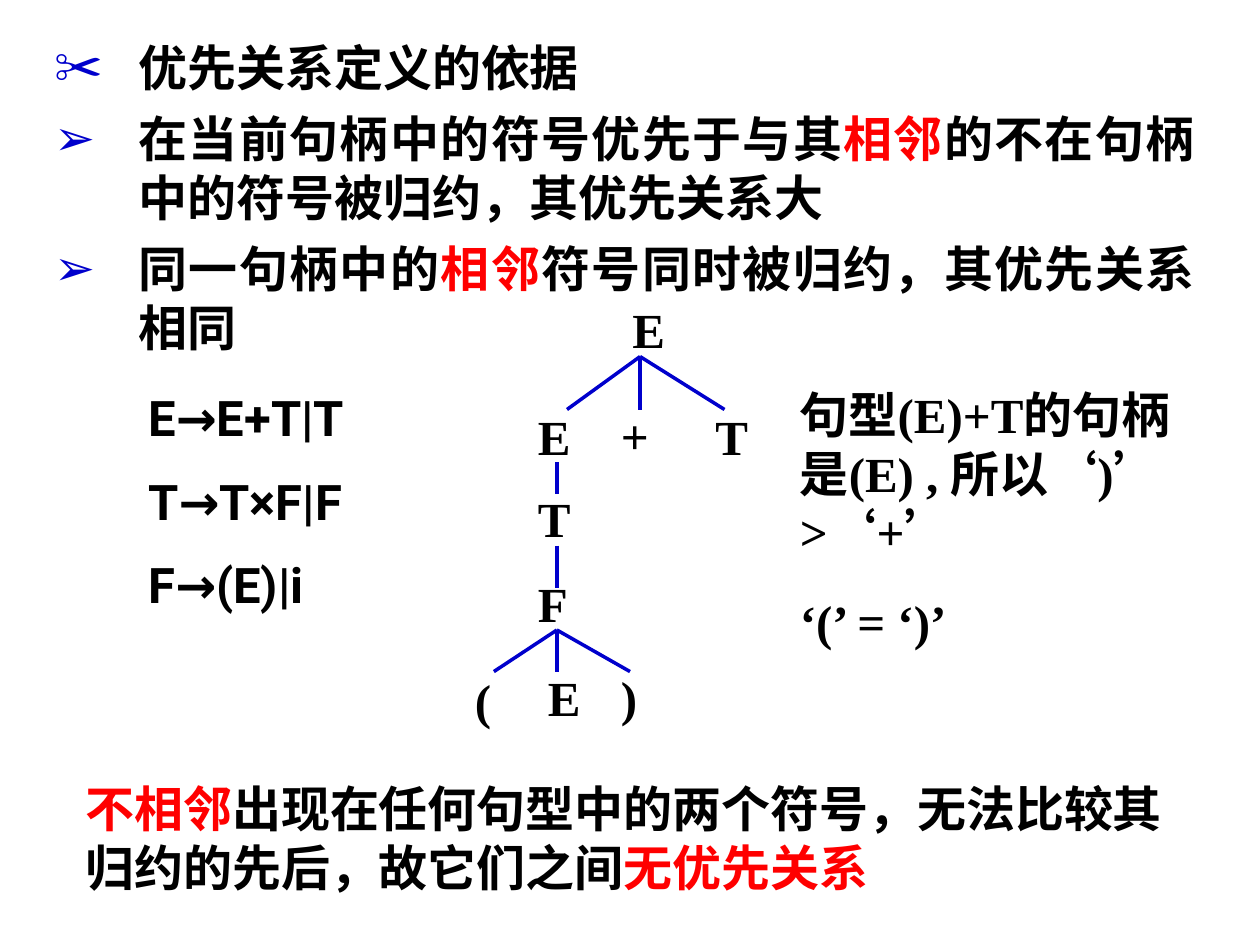
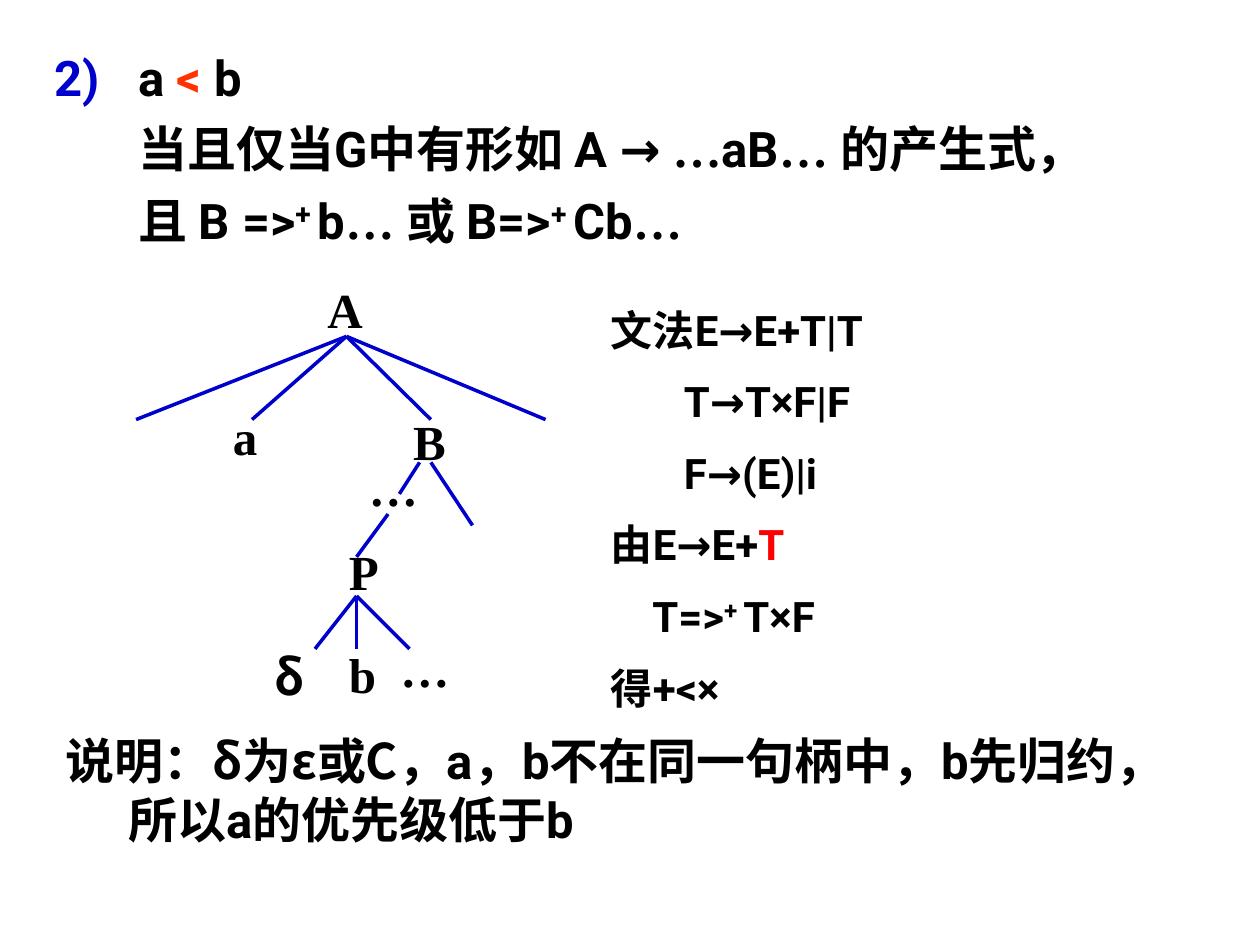
from lxml import etree
from pptx import Presentation
from pptx import util as u
from pptx.dml.color import RGBColor
from pptx.enum import lang, shapes, text
from pptx.oxml.ns import qn

BLACK, BLUE, RED, ORANGE = "000000", "0000CC", "FF0000", "FF3300"
SERIF, SANS, CJK = "Times New Roman", "Roboto", "Noto Sans CJK SC"


def colour(value):
    return RGBColor.from_string(value)


def run(content, ink=BLACK, font=None, raised=False):
    return content, ink, font, raised


def line(*runs, **options):
    return [run(item) if isinstance(item, str) else item for item in runs], options


class Deck:
    def __init__(self):
        self.presentation = Presentation()
        self.presentation.slide_width = u.Inches(10)
        self.presentation.slide_height = u.Inches(7.5)
        self.slide = None

    def new_slide(self):
        layout = self.presentation.slide_layouts[1]
        self.slide = self.presentation.slides.add_slide(layout)
        title = self.slide.shapes.title
        title.element.getparent().remove(title.element)

    def body(self, box, lines, font):
        shape = self.slide.placeholders[1]
        shape.left, shape.top, shape.width, shape.height = map(u.Inches, box)
        shape.text_frame.auto_size = text.MSO_AUTO_SIZE.NONE
        self.fill_text(shape.text_frame, lines, font, 28, 7)

    def text_box(self, box, lines, font=SERIF, size=28, gap=17.5, spacing=None):
        shape = self.slide.shapes.add_textbox(*map(u.Inches, box))
        shape.text_frame.auto_size = text.MSO_AUTO_SIZE.SHAPE_TO_FIT_TEXT
        self.fill_text(shape.text_frame, lines, font, size, gap, spacing)

    def label(self, content, left, top, width=0.5, font=SERIF):
        self.text_box((left, top, width, 0.57), [line(content)], font)

    def branches(self, start, *ends):
        for end in ends:
            connector = self.slide.shapes.add_connector(
                shapes.MSO_CONNECTOR.STRAIGHT, *map(u.Inches, start + end))
            connector.line.color.rgb = colour(BLUE)
            connector.line.width = u.Pt(2)
            etree.SubElement(connector.element.spPr, qn("a:effectLst"))

    def fill_text(self, frame, lines, font, size, gap, spacing=None):
        frame.word_wrap = True
        for index, (runs, options) in enumerate(lines):
            paragraph = frame.paragraphs[0] if index == 0 else frame.add_paragraph()
            self.format_paragraph(paragraph, **options)
            paragraph.space_before = u.Pt(gap if index else 0)
            paragraph.line_spacing = spacing
            for content, ink, own_font, raised in runs:
                self.add_run(paragraph, content, ink, own_font or font, size, raised)

    def format_paragraph(self, paragraph, bullet=None, number=None, left=0,
                         hanging=0, tab=None, justify=False):
        properties = paragraph._p.get_or_add_pPr()
        properties.set("marL", str(u.Inches(left)))
        properties.set("indent", str(u.Inches(-hanging)))
        if bullet or number:
            bullet_colour = etree.SubElement(properties, qn("a:buClr"))
            etree.SubElement(bullet_colour, qn("a:srgbClr"), val=BLUE)
        if bullet:
            etree.SubElement(properties, qn("a:buChar"), char=bullet)
        elif number:
            etree.SubElement(properties, qn("a:buAutoNum"),
                             type="arabicParenR", startAt=str(number))
        else:
            etree.SubElement(properties, qn("a:buNone"))
        if tab:
            stops = etree.SubElement(properties, qn("a:tabLst"))
            etree.SubElement(stops, qn("a:tab"), pos=str(u.Inches(tab)), algn="l")
        align = text.PP_ALIGN
        paragraph.alignment = align.JUSTIFY if justify else align.LEFT

    def add_run(self, paragraph, content, ink, font, size, raised):
        piece = paragraph.add_run()
        piece.text = content
        piece.font.name = font
        piece.font.size = u.Pt(size)
        piece.font.bold = True
        piece.font.color.rgb = colour(ink)
        piece.font.language_id = lang.MSO_LANGUAGE_ID.SIMPLIFIED_CHINESE
        properties = piece.font._element
        properties.find(qn("a:latin")).addnext(
            etree.Element(qn("a:ea"), typeface=CJK))
        if raised:
            properties.set("baseline", "30000")


def precedence_basis(deck):
    deck.new_slide()
    item = dict(left=0.67, hanging=0.67, justify=True)
    adjacent = run("相邻", RED)
    deck.body((0.33, 0.25, 9.25, 2.67), [
        line("优先关系定义的依据", bullet="✂", **item),
        line("在当前句柄中的符号优先于与其", adjacent,
             "的不在句柄中的符号被归约，其优先关系大", bullet="➢", **item),
        line("同一句柄中的", adjacent, "符号同时被归约，其优先关系相同",
             bullet="➢", **item),
    ], SERIF)
    deck.text_box((0.58, 6.13, 9, 1.04), [
        line(run("不相邻", RED),
             "出现在任何句型中的两个符号，无法比较其归约的先后，故它们之间",
             run("无优先关系", RED))])
    deck.text_box((1.08, 3.08, 2.58, 1.85),
                  [line(rule) for rule in ("E→E+T|T", "T→T×F|F", "F→(E)|i")],
                  SANS, spacing=0.9)

    for symbol, left, top in (
            ("E", 4.92, 2.33), ("E", 4.17, 3.18), ("+", 4.83, 3.17),
            ("T", 5.58, 3.18), ("T", 4.17, 3.83), ("F", 4.17, 4.5),
            ("(", 3.67, 5.27), ("E", 4.25, 5.25), (")", 4.83, 5.25)):
        deck.label(symbol, left, top)
    deck.branches((5.08, 2.83), (4.5, 3.25), (5.08, 3.25), (5.75, 3.25))
    deck.branches((4.42, 3.67), (4.42, 3.92))
    deck.branches((4.42, 4.33), (4.42, 4.67))
    deck.branches((4.42, 5), (3.92, 5.33), (4.42, 5.33), (5, 5.33))

    deck.text_box((6.25, 3, 3.5, 2.21), [
        line("句型(E)+T的句柄是(E) , 所以‘)’ >‘+’"),
        line("‘(’ = ‘)’")])


def lower_precedence(deck):
    deck.new_slide()
    dots = run("…", font=SERIF)
    spaced_dots = run("… ", font=SERIF)
    plus = run("+ ", raised=True)
    deck.body((0.33, 0.33, 9.33, 1.92), [
        line("a ", run("<", ORANGE), " b", number=2, left=0.67, hanging=0.67),
        line("当且仅当G中有形如 A → ", dots, "aB", spaced_dots, "的产生式，",
             left=0.67),
        line("且 B =>", plus, "b", spaced_dots, "或 B=>", plus, "Cb", dots,
             left=0.67),
    ], SANS)
    deck.text_box((0.42, 5.75, 9.08, 1.04), [
        line("说明：", run("δ为ε或C，", font=CJK),
             "a，b不在同一句柄中，b先归约，\t所以a的优先级低于b",
             left=0.5, hanging=0.5, tab=3)], SANS)

    for symbol, left, top in (
            ("A", 2.5, 2.17), ("a", 1.75, 3.18), ("B", 3.18, 3.22),
            ("P", 2.67, 4.25), ("b", 2.67, 5.07)):
        deck.label(symbol, left, top, 0.42)
    deck.label("δ", 2.08, 5.08, 0.67, CJK)
    deck.label("…", 2.83, 3.58, 0.58)
    deck.label("…", 3.08, 5.02, 0.58)
    deck.branches((2.75, 2.67), *((x, 3.33) for x in (1.08, 2, 3.42, 4.33)))
    deck.branches((3.33, 3.67), (3.17, 3.92))
    deck.branches((3.42, 3.67), (3.75, 4.17))
    deck.branches((3.08, 4.08), (2.83, 4.42))
    deck.branches((2.83, 4.73), *((x, 5.15) for x in (2.5, 2.83, 3.25)))

    deck.text_box((4.75, 2.41, 3.5, 3.3), [
        line("文法E→E+T|T"),
        line("T→T×F|F", left=0.58),
        line("F→(E)|i", left=0.58),
        line("由E→E+", run("T", RED)),
        line("T=>", plus, "T×F", left=0.33),
        line("得+<×"),
    ], SANS, 24, 15, 0.9)


def main():
    deck = Deck()
    precedence_basis(deck)
    lower_precedence(deck)
    deck.presentation.save("out.pptx")


if __name__ == "__main__":
    main()
